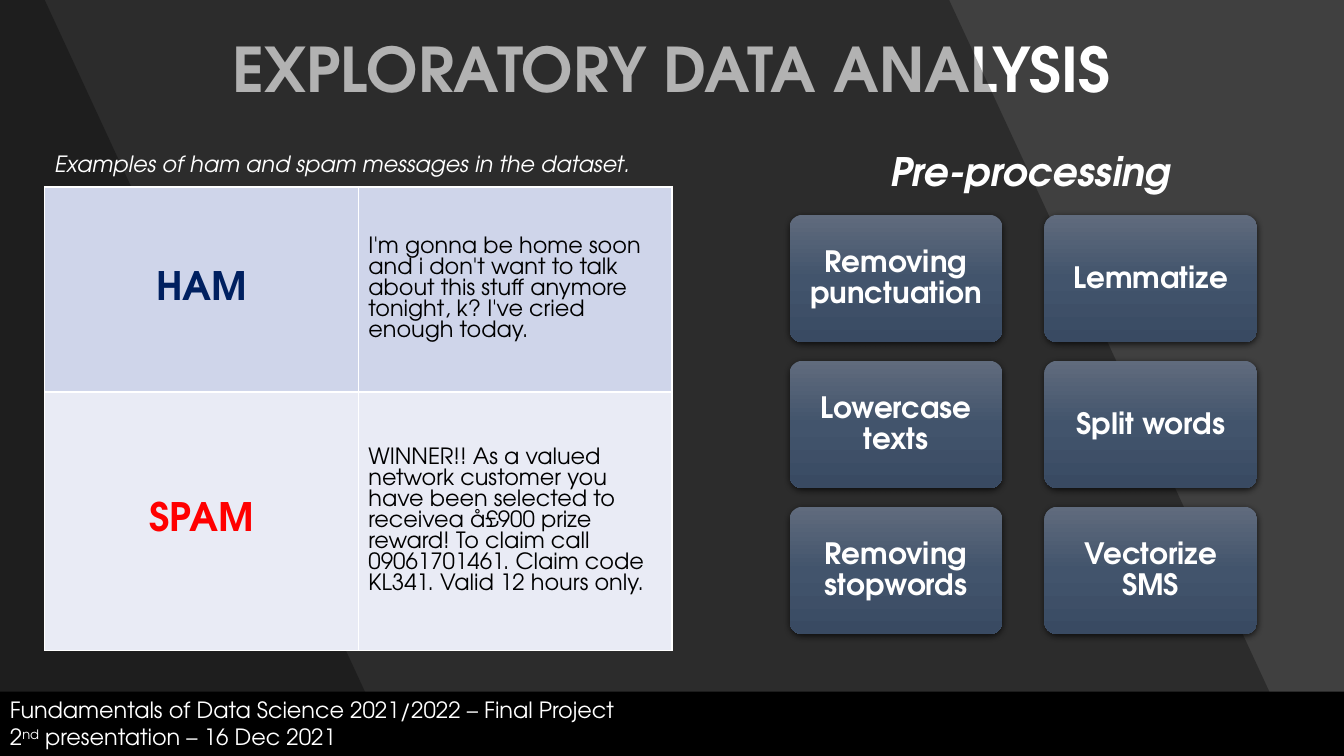
from lxml import etree
from pptx import Presentation
from pptx.dml.color import RGBColor
from pptx.enum import shapes, text
from pptx.oxml import ns, parse_xml
from pptx.util import Pt

FONT = "TeX Gyre Adventor"
WHITE = RGBColor(0xFF, 0xFF, 0xFF)
BLACK = RGBColor(0, 0, 0)
BACKGROUND = RGBColor(0x40, 0x40, 0x40)
NAVY = RGBColor(0x00, 0x20, 0x60)
RED = RGBColor(0xFF, 0, 0)
HAM_FILL = RGBColor(0xCF, 0xD5, 0xEA)
SPAM_FILL = RGBColor(0xE9, 0xEB, 0xF5)
CARD_STOPS = [(0, RGBColor(0x60, 0x6B, 0x7D)), (50, RGBColor(0x42, 0x54, 0x6C)),
              (100, RGBColor(0x39, 0x4A, 0x62))]
LEFT, CENTER = text.PP_ALIGN.LEFT, text.PP_ALIGN.CENTER
MIDDLE, TOP = text.MSO_ANCHOR.MIDDLE, text.MSO_ANCHOR.TOP

MESSAGES = [
    ("HAM", NAVY, HAM_FILL, 146.5,
     "I'm gonna be home soon and i don't want to talk about this stuff anymore "
     "tonight, k? I've cried enough today."),
    ("SPAM", RED, SPAM_FILL, 184.5,
     "WINNER!! As a valued network customer you have been selected to receivea "
     "å£900 prize reward! To claim call 09061701461. Claim code KL341. "
     "Valid 12 hours only."),
]
STEPS = [("Removing punctuation", "Lemmatize"),
         ("Lowercase texts", "Split words"),
         ("Removing stopwords", "Vectorize SMS")]


def drawing_xml(markup):
    """Parse DrawingML markup whose root takes the a: namespace."""
    return parse_xml(markup.replace(">", f" {ns.nsdecls('a')}>", 1))


def write_text(frame, *lines, size=16, color=WHITE, bold=False, italic=False,
               align=LEFT, spacing=None):
    """Write one paragraph per line; parts between ^ marks are superscript."""
    frame.word_wrap = True
    for index, line in enumerate(lines):
        paragraph = frame.add_paragraph() if index else frame.paragraphs[0]
        paragraph.alignment = align
        paragraph.line_spacing = spacing
        for part, words in enumerate(line.split("^")):
            run = paragraph.add_run()
            run.text = words
            font = run.font
            font.name, font.size, font.color.rgb = FONT, Pt(size), color
            font.bold, font.italic = bold, italic
            if part % 2:
                run._r.get_or_add_rPr().set("baseline", "30000")


def add_text_box(slide, left, top, width, height, line, **style):
    """Add a text box holding one line."""
    box = slide.shapes.add_textbox(Pt(left), Pt(top), Pt(width), Pt(height))
    write_text(box.text_frame, line, **style)


def add_backdrop(slide, width, height):
    """Fill the background and lay two translucent slanted bands on it."""
    slide.background.fill.solid()
    slide.background.fill.fore_color.rgb = BACKGROUND
    for top_edge, bottom_edge in [(678, 928), (32, 282)]:
        builder = slide.shapes.build_freeform(0, 0, scale=Pt(1))
        builder.add_line_segments([(top_edge, 0), (bottom_edge, height), (0, height)])
        band = builder.convert_to_shape()
        band.shadow.inherit = False
        band.line.fill.background()
        band.fill.solid()
        band.fill.fore_color.rgb = BLACK
        color = next(band._element.spPr.iter(ns.qn("a:srgbClr")))
        etree.SubElement(color, ns.qn("a:alpha"), val="30000")


def add_title(slide, left, top, width, height):
    """Place and format the title placeholder."""
    title = slide.shapes.title
    title.left, title.top, title.width, title.height = map(Pt, (left, top, width, height))
    title.text_frame.auto_size = text.MSO_AUTO_SIZE.NONE
    title.text_frame.vertical_anchor = MIDDLE
    write_text(title.text_frame, "EXPLORATORY DATA ANALYSIS", size=44, bold=True,
               align=CENTER, spacing=0.9)


def add_footer(slide, left, top, width, height):
    """Add the black bar that names the course and the date."""
    bar = slide.shapes.add_shape(shapes.MSO_SHAPE.RECTANGLE,
                                 Pt(left), Pt(top), Pt(width), Pt(height))
    bar.shadow.inherit = False
    bar.line.fill.background()
    bar.fill.solid()
    bar.fill.fore_color.rgb = BLACK
    bar.text_frame.vertical_anchor = TOP
    write_text(bar.text_frame, "Fundamentals of Data Science 2021/2022 – Final Project",
               "2^nd^ presentation – 16 Dec 2021")


def format_cell(cell, fill):
    """Give a cell its fill, middle anchor and white borders."""
    cell.vertical_anchor = MIDDLE
    properties = cell._tc.get_or_add_tcPr()
    for side in ("lnL", "lnR", "lnT", "lnB"):
        properties.append(drawing_xml(
            f'<a:{side} w="{Pt(1)}"><a:solidFill><a:srgbClr val="{WHITE}"/>'
            f'</a:solidFill></a:{side}>'))
    cell.fill.solid()
    cell.fill.fore_color.rgb = fill


def add_examples(slide, left, top, width, height):
    """Add the caption and the table of sample messages."""
    caption_height = 29.5
    add_text_box(slide, left, top, width, caption_height,
                 "Examples of ham and spam messages in the dataset.", italic=True)
    table = slide.shapes.add_table(
        len(MESSAGES), 2, Pt(left), Pt(top + caption_height),
        Pt(width), Pt(height - caption_height)).table
    table.first_row = table.horz_banding = False
    for row, (label, color, fill, row_height, message) in enumerate(MESSAGES):
        table.rows[row].height = Pt(row_height)
        label_cell, message_cell = table.cell(row, 0), table.cell(row, 1)
        format_cell(label_cell, fill)
        format_cell(message_cell, fill)
        write_text(label_cell.text_frame, label, size=28, color=color, bold=True,
                   align=CENTER)
        write_text(message_cell.text_frame, message, color=BLACK, spacing=Pt(15))


def add_card(slide, left, top, width, height, label):
    """Add a rounded card with a gradient, a soft shadow and a label."""
    card = slide.shapes.add_shape(shapes.MSO_SHAPE.ROUNDED_RECTANGLE,
                                  Pt(left), Pt(top), Pt(width), Pt(height))
    card.adjustments[0] = 0.1
    card.line.fill.background()
    card.shadow.inherit = False
    properties = card._element.spPr
    stops = "".join(f'<a:gs pos="{position * 1000}"><a:srgbClr val="{color}"/></a:gs>'
                    for position, color in CARD_STOPS)
    properties.find(ns.qn("a:ln")).addprevious(drawing_xml(
        f'<a:gradFill><a:gsLst>{stops}</a:gsLst><a:lin ang="5400000" scaled="0"/>'
        '</a:gradFill>'))
    properties.find(ns.qn("a:effectLst")).append(drawing_xml(
        f'<a:outerShdw blurRad="{Pt(4.5)}" dist="{Pt(1.5)}" dir="5400000" '
        f'algn="ctr" rotWithShape="0"><a:srgbClr val="{BLACK}">'
        '<a:alpha val="63000"/></a:srgbClr></a:outerShdw>'))
    frame = card.text_frame
    frame.margin_left = frame.margin_right = Pt(9)
    frame.vertical_anchor = MIDDLE
    write_text(frame, label, size=21, bold=True, align=CENTER, spacing=0.9)


def add_preprocessing(slide, left, top, width, height):
    """Add the heading and the grid of pre-processing steps."""
    add_text_box(slide, left, top, width, 41, "Pre-processing", size=28,
                 bold=True, italic=True, align=CENTER)
    card_width, card_height, column_gap, row_gap = 152, 91, 30, 13.25
    first_top = top + height - len(STEPS) * card_height - (len(STEPS) - 1) * row_gap
    for row, labels in enumerate(STEPS):
        for column, label in enumerate(labels):
            add_card(slide, left + 52 + column * (card_width + column_gap),
                     first_top + row * (card_height + row_gap),
                     card_width, card_height, label)


def main():
    """Build the slide and save it."""
    presentation = Presentation()
    presentation.slide_width, presentation.slide_height = Pt(960), Pt(540)
    slide = presentation.slides.add_slide(presentation.slide_layouts[5])
    add_backdrop(slide, 960, 540)
    add_title(slide, 0, 0, 960, 104)
    add_footer(slide, 0, 494, 960, 46)
    add_examples(slide, 32, 104, 448, 360.5)
    add_preprocessing(slide, 512, 101.5, 448, 351.5)
    presentation.save("out.pptx")


main()
